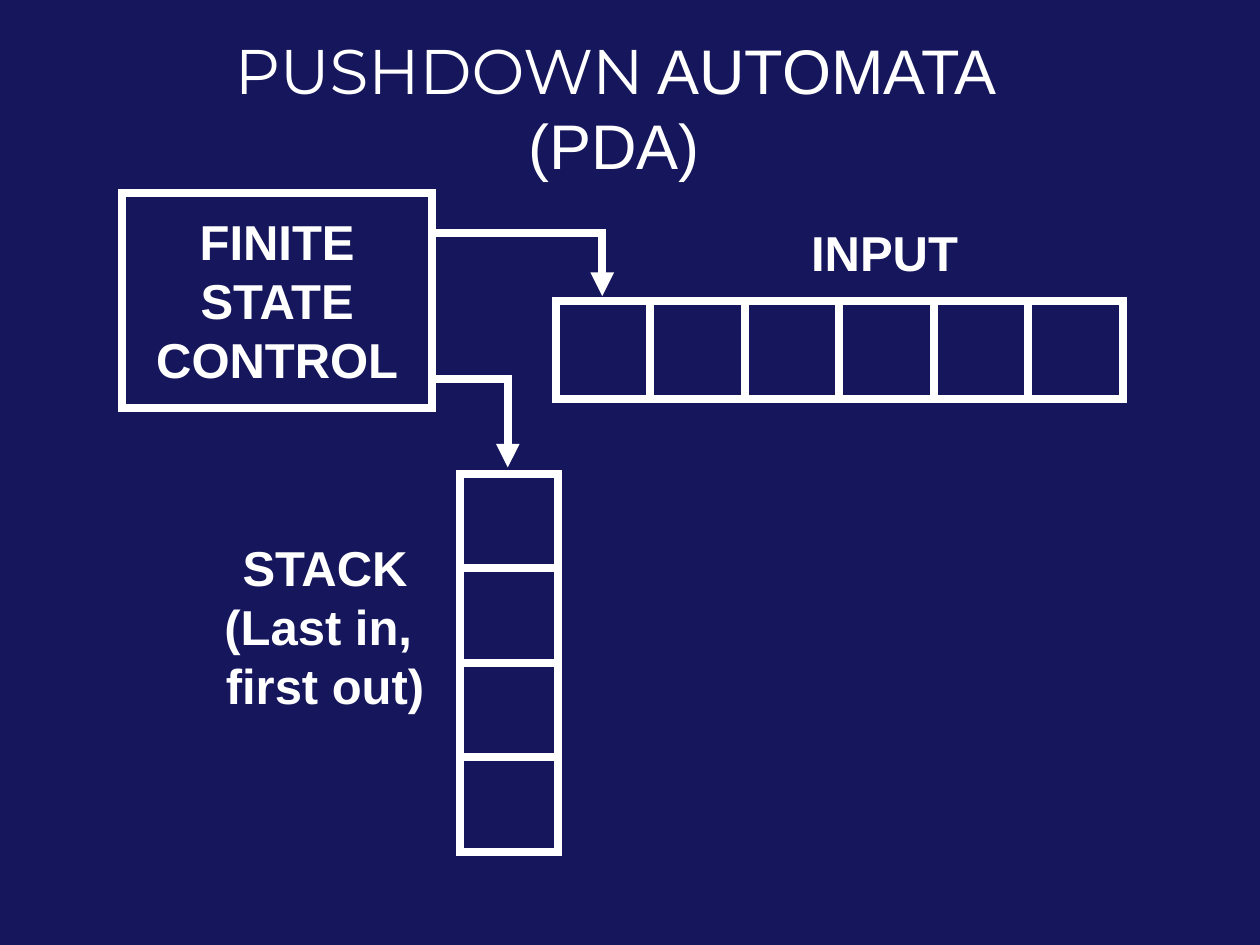
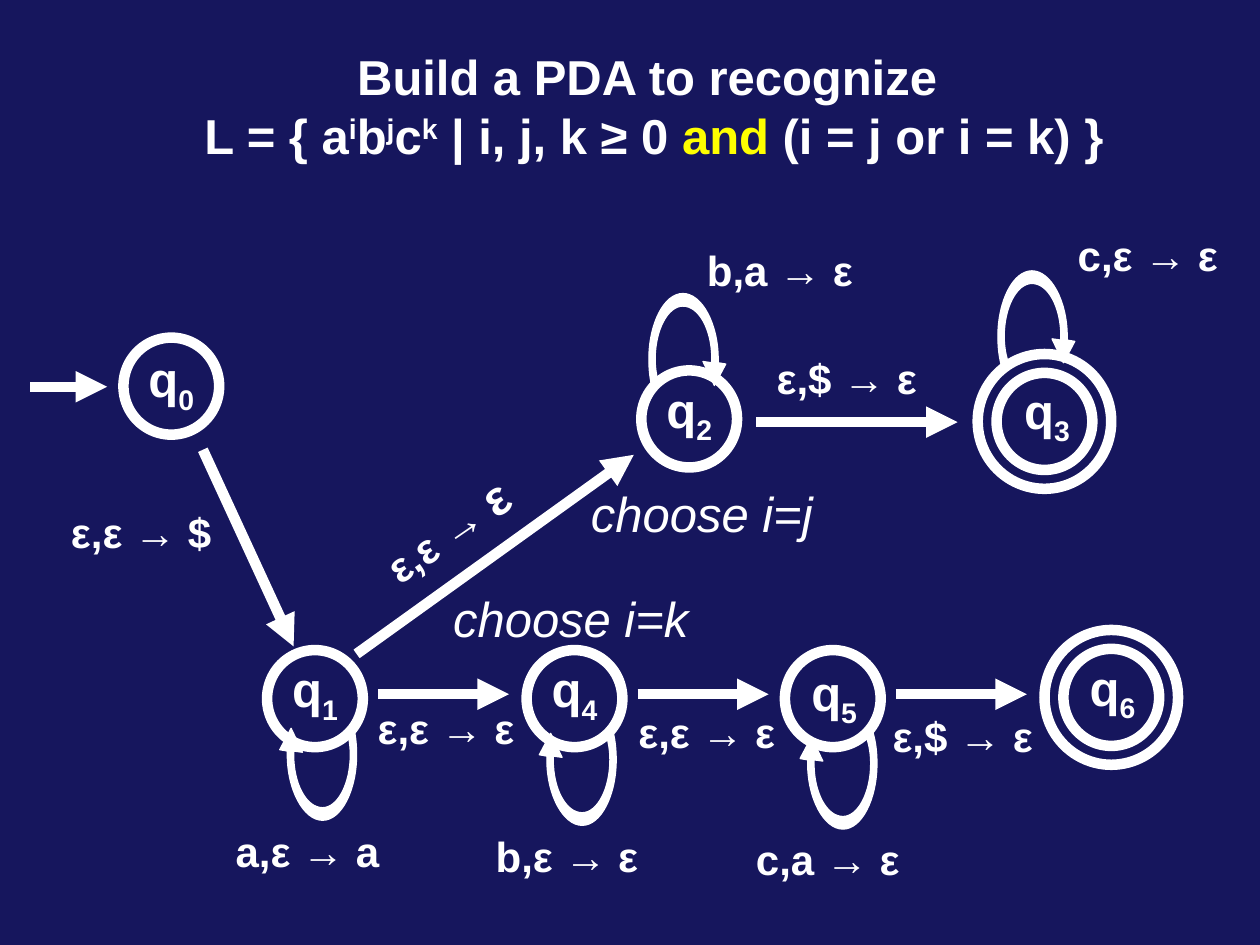
from itertools import chain

from lxml.etree import SubElement
from pptx import Presentation
from pptx.dml.color import RGBColor
from pptx.enum.shapes import MSO_CONNECTOR as Connector, MSO_SHAPE as Shape
from pptx.enum.text import PP_ALIGN as Align
from pptx.oxml.ns import qn
from pptx.util import Inches, Pt

NAVY = RGBColor(0x16, 0x16, 0x5D)
WHITE = RGBColor(0xFF, 0xFF, 0xFF)
YELLOW = RGBColor(0xFF, 0xFF, 0x00)

SUPER, SUB = 30, -25  # baseline shift in percent
CELL = 0.75
STATE_W, STATE_H = 0.76, 0.77
RING_GAP = 0.15

# Self-loop outline: three points make a Bézier curve, one makes a line
LOOP_START = (0.5, 0.55)
LOOP_SEGMENTS = [
    [(0.5, 0.54), (0.5, 0.53), (0.5, 0.52)],
    [(0.5, 0.29), (0.4, 0.1), (0.27, 0.1)],
    [(0.15, 0.1), (0.05, 0.29), (0.05, 0.52)],
    [(0.05, 0.59), (0.06, 0.66), (0.08, 0.72)],
    [(0.03, 0.76)],
    [(0.01, 0.69), (0, 0.61), (0, 0.52)],
    [(0, 0.24), (0.12, 0), (0.27, 0)],
    [(0.42, 0), (0.55, 0.24), (0.55, 0.52)],
    [(0.55, 0.53), (0.55, 0.54), (0.55, 0.55)],
    [(0.61, 0.56)], [(0.52, 0.73)], [(0.43, 0.54)],
]


class Deck:
    """Shared style and the slide being drawn."""

    font, title_size, body_size, label_size = "Arial", 36, 28, 24

    def __init__(self):
        self.prs = Presentation()
        self.prs.slide_width, self.prs.slide_height = Inches(10), Inches(7.5)
        self.slide = None
        self.weight = 4.5

    def new_slide(self, weight):
        self.slide = self.prs.slides.add_slide(self.prs.slide_layouts[6])
        self.slide.background.fill.solid()
        self.slide.background.fill.fore_color.rgb = NAVY
        self.weight = weight

    def text(self, lines, left, top, width, height, size=body_size,
             bold=True, italic=False, rotation=0):
        """Each line is a string or a list of (text, run options) pairs."""
        box = self.slide.shapes.add_textbox(
            Inches(left), Inches(top), Inches(width), Inches(height))
        box.rotation = rotation
        frame = box.text_frame
        frame.word_wrap = True
        for i, line in enumerate(lines):
            para = frame.add_paragraph() if i else frame.paragraphs[0]
            para.alignment = Align.CENTER
            font = para.font
            font.name, font.size = self.font, Pt(size)
            font.bold, font.italic = bold, italic
            font.color.rgb = WHITE
            for words, options in [(line, {})] if isinstance(line, str) else line:
                self.run(para, words, **options)

    def run(self, para, words, shift=0, color=None, size=None, font=None):
        run = para.add_run()
        run.text = words
        if shift:
            run._r.get_or_add_rPr().set("baseline", str(shift * 1000))
        if color:
            run.font.color.rgb = color
        if size:
            run.font.size = Pt(size)
        if font:
            run.font.name = font

    def outline(self, kind, left, top, width, height):
        shape = self.slide.shapes.add_shape(
            kind, Inches(left), Inches(top), Inches(width), Inches(height))
        shape.shadow.inherit = False
        shape.fill.background()
        self.stroke(shape, "a:miter", lim="800000")

    def line(self, start, end, arrow=True):
        link = self.slide.shapes.add_connector(
            Connector.STRAIGHT, *map(Inches, (*start, *end)))
        if arrow:
            self.stroke(link, "a:tailEnd", type="triangle")
        else:
            self.stroke(link)
        SubElement(link._element.spPr, qn("a:effectLst"))

    def stroke(self, shape, extra=None, **attributes):
        shape.line.color.rgb = WHITE
        shape.line.width = Pt(self.weight)
        if extra:
            SubElement(shape._element.spPr.find(qn("a:ln")), qn(extra), attributes)

    def loop(self, left, top, rotation=0):
        """Self-loop: a curved band that ends in an arrowhead."""
        first, *rest = [(Inches(left + x), Inches(top + y))
                        for x, y in chain([LOOP_START], *LOOP_SEGMENTS)]
        builder = self.slide.shapes.build_freeform(*first)
        builder.add_line_segments(rest, close=True)
        shape = builder.convert_to_shape()
        self.bend(shape)
        shape.rotation = rotation
        shape.shadow.inherit = False
        shape.fill.solid()
        shape.fill.fore_color.rgb = WHITE
        shape.line.color.rgb = WHITE
        shape.line.width = Pt(0.75)

    def bend(self, shape):
        """Merge the points of each curved segment into one Bézier curve."""
        steps = iter(list(shape._element.iter(qn("a:lnTo"))))
        for segment in LOOP_SEGMENTS:
            curve, *others = [next(steps) for _ in segment]
            if others:
                curve.tag = qn("a:cubicBezTo")
            for step in others:
                curve.append(step[0])
                step.getparent().remove(step)

    def state(self, number, left, top, dx=0.1, dy=0.02, accepting=False):
        self.outline(Shape.OVAL, left, top, STATE_W, STATE_H)
        if accepting:
            self.outline(Shape.OVAL, left - RING_GAP, top - RING_GAP,
                         STATE_W + 2 * RING_GAP, STATE_H + 2 * RING_GAP)
        self.text([[("q", {}), (number, {"shift": SUB})]],
                  left + dx, top + dy, 0.56, 0.63)

    def transition(self, rule, center, top):
        self.text([rule], center - 0.75, top, 1.5, 0.5, size=self.label_size)


def draw_overview(deck):
    deck.new_slide(weight=4.5)
    deck.text([[("PUSHDOWN", {"font": "Montserrat"}), (" AUTOMATA (PDA)", {})]],
              1.11, 0.2, 7.53, 0.7, size=deck.title_size, bold=False)

    # Finite control with its two heads
    deck.outline(Shape.RECTANGLE, 0.97, 1.53, 2.46, 1.71)
    deck.text(["FINITE STATE CONTROL"], 1, 1.63, 2.4, 1.5)
    deck.line((3.44, 3.01), (4.06, 3.01), arrow=False)
    deck.line((3.44, 1.85), (4.81, 1.85), arrow=False)
    deck.line((4.03, 3.01), (4.03, 3.71))
    deck.line((4.78, 1.83), (4.78, 2.35))

    # Stack and input tape
    for i in range(4):
        deck.outline(Shape.RECTANGLE, 3.65, 3.76 + i * CELL, 0.78, CELL)
    for i in range(6):
        deck.outline(Shape.RECTANGLE, 4.41 + i * CELL, 2.39, CELL, 0.78)
    deck.text(["STACK", "(Last in, ", "first out)"], 1.58, 4.22, 2, 1.5)
    deck.text(["INPUT"], 6.27, 1.72, 1.5, 0.57)


def draw_automaton(deck):
    deck.new_slide(weight=6)
    language = [("L = { a", {}), ("i", {"shift": SUPER}),
                ("b", {}), ("j", {"shift": SUPER}),
                ("c", {}), ("k", {"shift": SUPER}),
                (" | i, j, k ≥ 0 ", {}), ("and", {"color": YELLOW}),
                (" (i = j or i = k) }", {})]
    deck.text(["Build a PDA to recognize ", language], 1.42, 0.32, 7.54, 1.04)

    # Arrows between states
    for start, end in [((0.24, 3.07), (0.85, 3.07)),
                       ((1.61, 3.57), (2.33, 5.13)),
                       ((2.83, 5.19), (5.03, 3.61)),
                       ((6, 3.35), (7.6, 3.35))]:
        deck.line(start, end)
    for left in (3, 5.06, 7.11):
        deck.line((left, 5.51), (left + 1.04, 5.51))

    # States
    deck.state("0", 0.98, 2.68, dy=0.04)
    deck.state("1", 2.12, 5.16)
    deck.state("2", 5.09, 2.94)
    deck.state("3", 7.91, 2.96, dx=0.12, dy=0.01, accepting=True)
    deck.state("4", 4.18, 5.16)
    deck.state("5", 6.23, 5.16, dx=0.11, dy=0.05)
    deck.state("6", 8.44, 5.15, dx=0.11, accepting=True)

    # Self-loops, above and below
    for left, top in [(5.15, 2.33), (7.92, 2.15)]:
        deck.loop(left, top)
    for left, top in [(2.22, 5.75), (4.28, 5.79), (6.35, 5.82)]:
        deck.loop(left, top, rotation=180)

    # Transition rules
    for rule, center, top in [
            ("ε,ε → $", 1.12, 3.97), ("b,a → ε", 6.19, 1.89),
            ("ε,$ → ε", 6.72, 2.75), ("c,ε → ε", 9.11, 1.77),
            ("a,ε → a", 2.44, 6.5), ("ε,ε → ε", 3.54, 5.53),
            ("b,ε → ε", 4.5, 6.54), ("ε,ε → ε", 5.61, 5.56),
            ("c,a → ε", 6.57, 6.57), ("ε,$ → ε", 7.64, 5.59)]:
        deck.transition(rule, center, top)
    deck.text([[("ε,ε → ", {}), ("ε", {"size": deck.body_size})]],
              2.89, 3.92, 1.31, 0.57, size=deck.label_size, rotation=325.3)

    # Branch choices
    for choice, left, top in [("choose i=j", 4.47, 3.79),
                              ("choose i=k", 3.43, 4.62)]:
        deck.text([choice], left, top, 2.2, 0.57, bold=False, italic=True)


def main():
    deck = Deck()
    draw_overview(deck)
    draw_automaton(deck)
    deck.prs.save("out.pptx")


if __name__ == "__main__":
    main()
